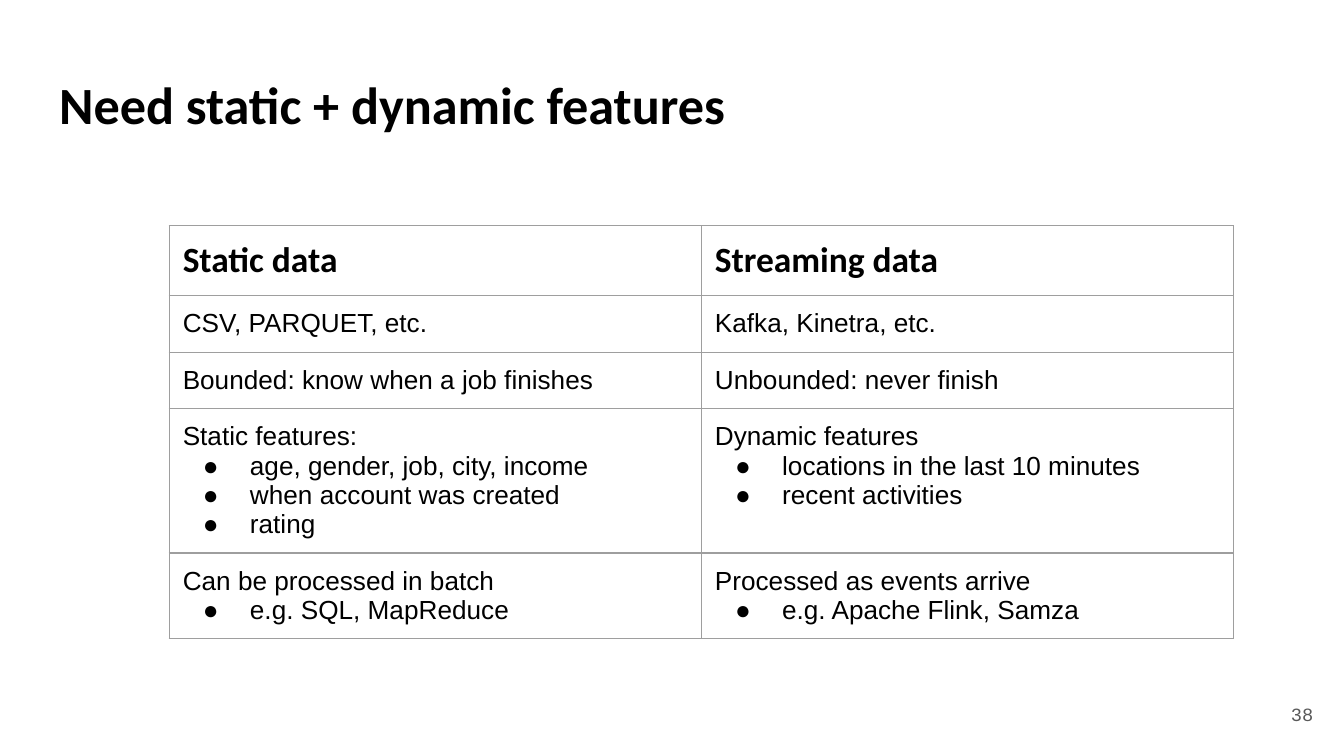
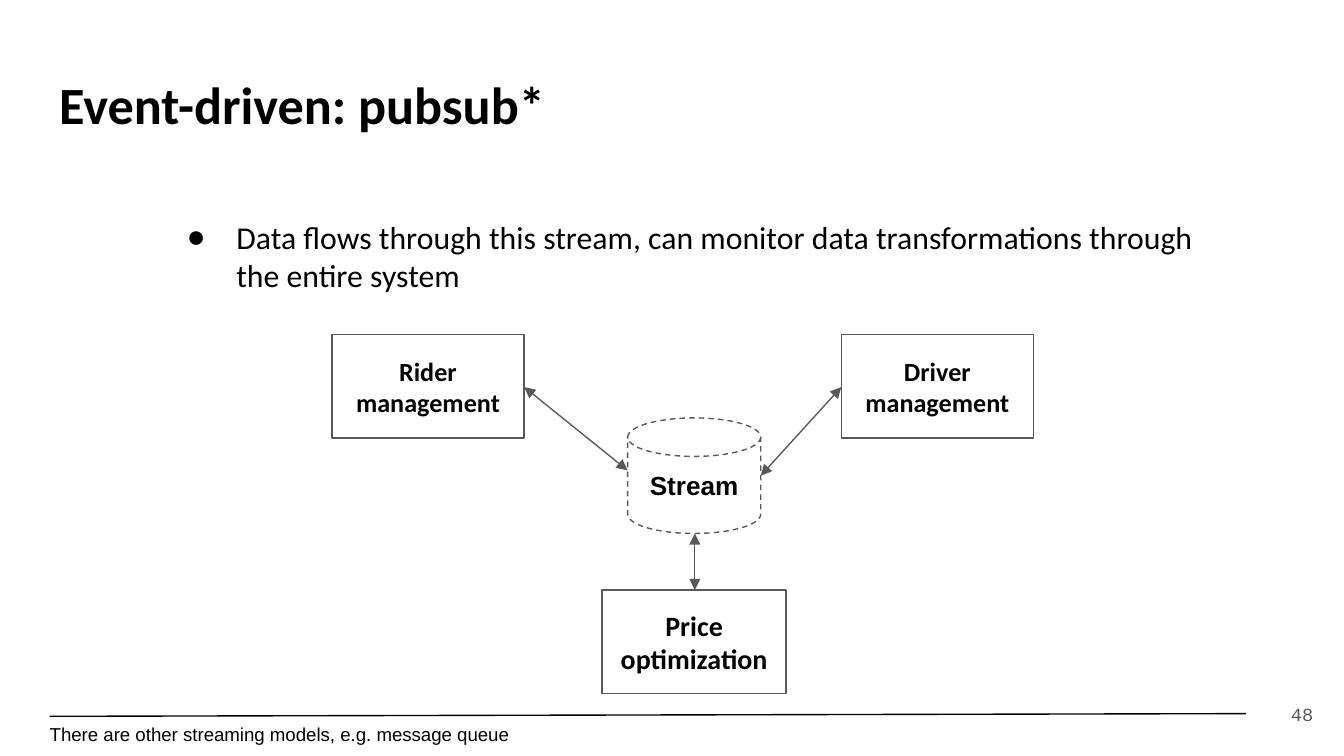
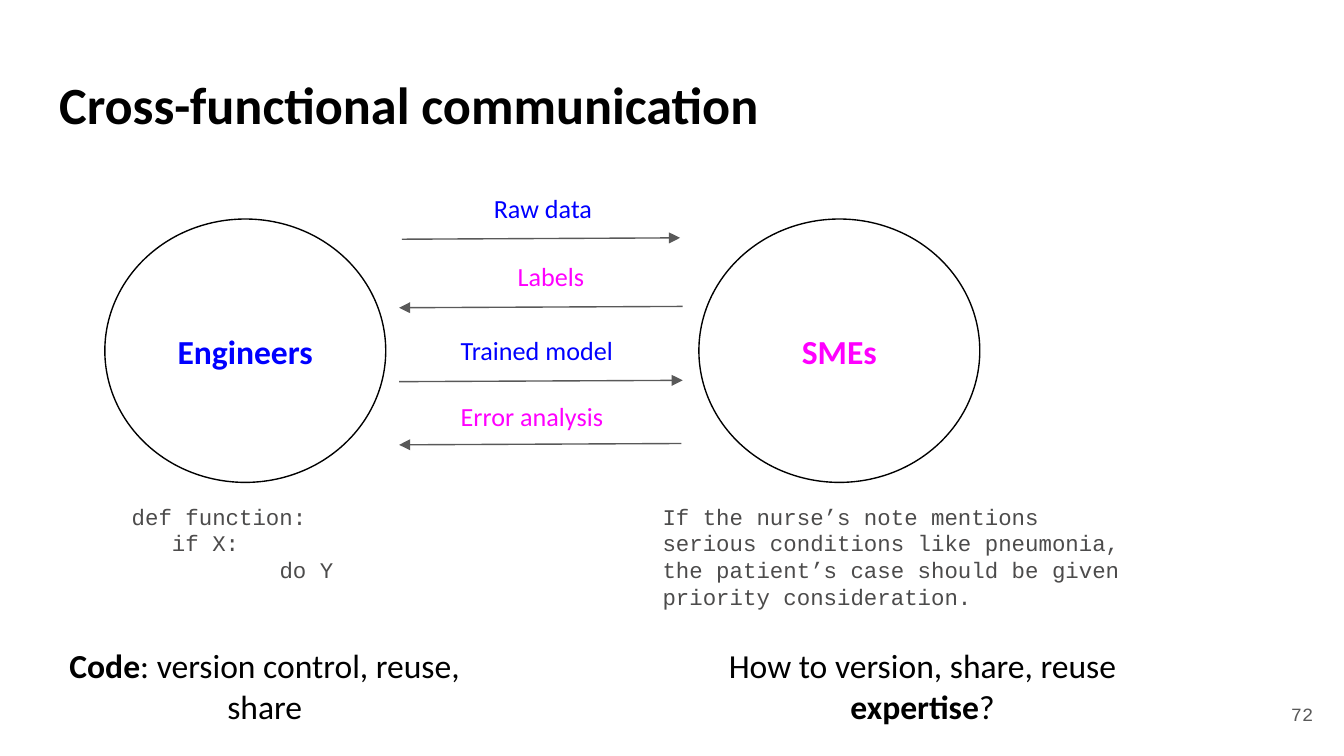
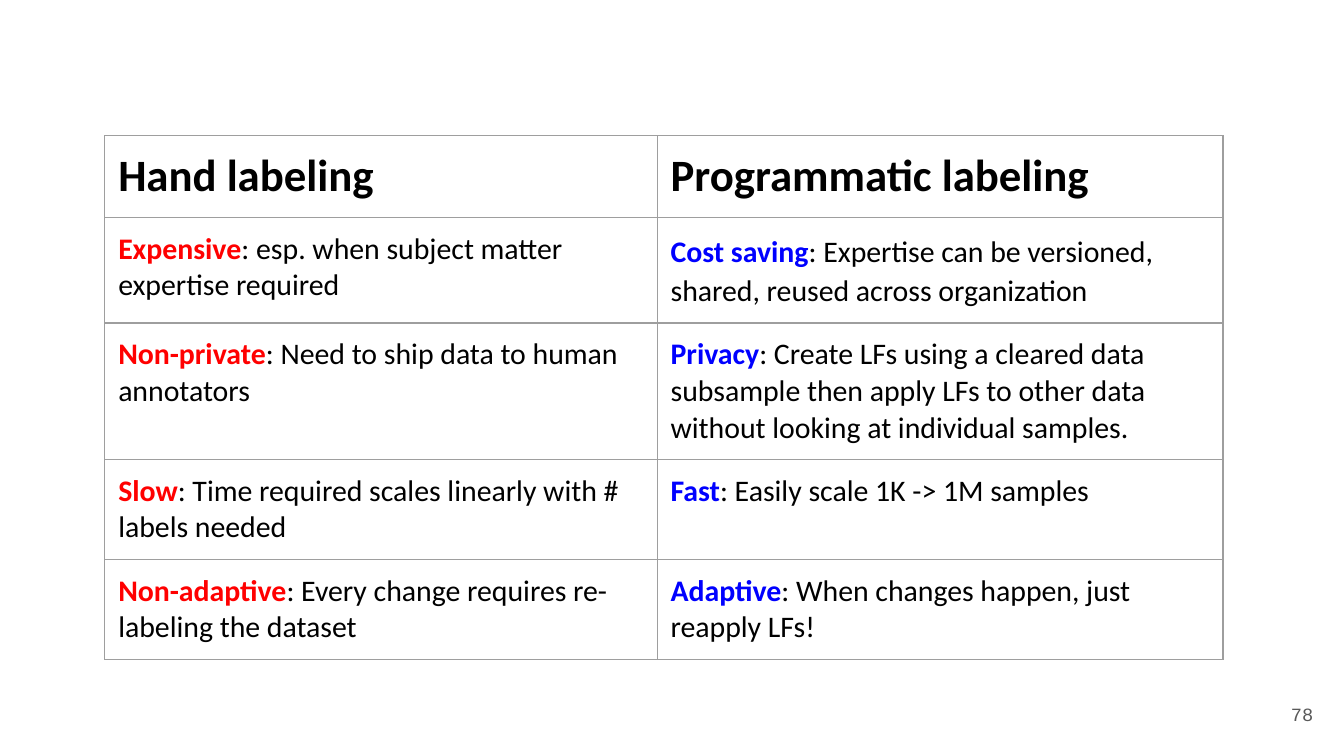
from dataclasses import dataclass
from pptx import Presentation
from pptx.dml.color import RGBColor as RGB
from pptx.enum.dml import MSO_LINE as Dash
from pptx.enum.shapes import MSO_CONNECTOR as Conn, MSO_SHAPE as Form
from pptx.enum.text import MSO_ANCHOR as Anchor, MSO_AUTO_SIZE as Fit, PP_ALIGN as Align
from pptx.oxml.ns import qn
from pptx.util import Inches, Pt
from lxml.etree import SubElement as Sub

# Grid: ten square columns across a 16:9 slide
COLS = 10
ROWS = COLS * 9 / 16
CELL = Inches(1)


@dataclass(frozen=True)
class Theme:
    black: str = "000000"
    gray: str = "595959"
    ash: str = "4C4B4B"
    rule: str = "9E9E9E"
    red: str = "FF0000"
    blue: str = "0000FF"
    pink: str = "FF00FF"
    thin: float = 0.75
    pad: tuple = (0.1, 0.1)
    slim: tuple = (0.07, 0.04)


T = Theme()

# Text styles: font, size, colour, bold
STYLE = {
    "title": ("Calibri", 28, T.black, True),
    "page": ("Courier New", 10, T.gray, False),
    "head": ("Calibri", 19, T.black, True),
    "cell": ("Arial", 14, T.black, False),
    "big": ("Calibri", 24, T.black, True),
    "bad": ("Calibri", 16, T.red, True),
    "good": ("Calibri", 16, T.blue, True),
    "plain": ("Calibri", 16, T.black, False),
    "point": ("Calibri", 17, T.black, False),
    "box": ("Calibri", 14, T.black, True),
    "price": ("Calibri", 15, T.black, True),
    "disk": ("Arial", 14, T.black, True),
    "note": ("Arial", 10, T.black, False),
    "team": ("Calibri", 18, T.blue, True),
    "expert": ("Calibri", 18, T.pink, True),
    "send": ("Calibri", 14, T.blue, False),
    "reply": ("Calibri", 14, T.pink, False),
    "code": ("Courier New", 12, T.ash, False),
    "sum": ("Calibri", 18, T.black, False),
    "key": ("Calibri", 18, T.black, True),
}

# Content: a leading bullet sign marks a list line
DATA = [
    (["Static data"], ["Streaming data"]),
    (["CSV, PARQUET, etc."], ["Kafka, Kinetra, etc."]),
    (["Bounded: know when a job finishes"], ["Unbounded: never finish"]),
    (["Static features:", "●age, gender, job, city, income",
      "●when account was created", "●rating"],
     ["Dynamic features", "●locations in the last 10 minutes", "●recent activities"]),
    (["Can be processed in batch", "●e.g. SQL, MapReduce"],
     ["Processed as events arrive", "●e.g. Apache Flink, Samza"]),
]

FLOW = ("●Data flows through this stream, can monitor data "
        "transformations through the entire system")
BOXES = [  # lines, style, left, top, width
    (["Rider", "management"], "box", 2.47, 2.49, 1.43),
    (["Driver management"], "box", 6.26, 2.49, 1.43),
    (["Price optimization"], "price", 4.48, 4.39, 1.37),
]
LINKS = [((3.9, 2.88), (4.67, 3.5)), ((6.26, 2.88), (5.66, 3.54)),
         ((5.17, 3.97), (5.17, 4.39))]
FOOT = "There are other streaming models, e.g. message queue"

TEAMS = [("Engineers", "team", 0.78), ("SMEs", "expert", 5.2)]
TALK = [  # text, style, label box, align, arrow x range, arrow y
    ("Raw data", "send", (3.49, 1.33, 1.1), Align.CENTER, (2.99, 5.06), 1.78),
    ("Labels", "reply", (3.55, 1.84, 1.1), Align.CENTER, (2.97, 5.08), 2.29),
    ("Trained model", "send", (3.33, 2.39, 1.54), Align.LEFT, (2.97, 5.08), 2.84),
    ("Error analysis", "reply", (3.33, 2.88, 1.54), Align.LEFT, (2.97, 5.07), 3.31),
]
CODE = ["def function:", "   if X:", "   \t do Y"]
RULE = ["If the nurse’s note mentions serious conditions like pneumonia, "
        "the patient’s case should be given priority consideration."]
SUMS = [
    ((0.3, 4.76, 3.34, 0.48),
     [("Code", "key"), (": version control, reuse, share", "sum")]),
    ((4.95, 4.76, 3.83, 0.75),
     [("How to version, share, reuse ", "sum"), ("expertise", "key"), ("?", "sum")]),
]

LABELS = ("Hand labeling", "Programmatic labeling")
TRADES = [
    (("Expensive", ": esp. when subject matter expertise required"),
     ("Cost saving", ": Expertise can be versioned, shared, reused across organization")),
    (("Non-private", ": Need to ship data to human annotators"),
     ("Privacy", ": Create LFs using a cleared data subsample then apply LFs to "
                 "other data without looking at individual samples.")),
    (("Slow", ": Time required scales linearly with # labels needed"),
     ("Fast", ": Easily scale 1K -> 1M samples")),
    (("Non-adaptive", ": Every change requires re-labeling the dataset"),
     ("Adaptive", ": When changes happen, just reapply LFs!")),
]


# Text helpers
def grid(*nums):
    return [round(n * CELL) for n in nums]


def plain(lines, style):
    return [[(line, style)] for line in lines]


def bullet(para, hang):
    props = para._p.get_or_add_pPr()
    props.set("marL", str(round(0.5 * CELL)))
    props.set("indent", str(round(-hang * CELL)))
    Sub(Sub(props, qn("a:buClr")), qn("a:srgbClr")).set("val", T.black)
    Sub(props, qn("a:buFont")).set("typeface", "Arial")
    Sub(props, qn("a:buChar")).set("char", "●")


def stop(para):
    tab = Sub(Sub(para._p.get_or_add_pPr(), qn("a:tabLst")), qn("a:tab"))
    tab.set("pos", str(CELL))
    tab.set("algn", "l")


def write(frame, lines, align=Align.LEFT, hang=0.35):
    for i, runs in enumerate(lines):
        para = frame.add_paragraph() if i else frame.paragraphs[0]
        para.alignment = align
        if runs[0][0].startswith("●"):
            bullet(para, hang)
        if "\t" in runs[0][0]:
            stop(para)
        for text, style in runs:
            run = para.add_run()
            run.text = text.lstrip("●")
            font = run.font
            font.name, size, color, font.bold = STYLE[style]
            font.size = Pt(size)
            font.color.rgb = RGB.from_string(color)


def setup(frame, pad, anchor, fit=Fit.NONE):
    frame.word_wrap = True
    frame.auto_size = fit
    frame.vertical_anchor = anchor
    frame.margin_left, frame.margin_top = grid(*pad)
    frame.margin_right, frame.margin_bottom = grid(*pad)


# Part helpers
def label(slide, spot, lines, pad=T.pad, anchor=Anchor.TOP, fit=Fit.NONE, **kw):
    frame = slide.shapes.add_textbox(*grid(*spot)).text_frame
    setup(frame, pad, anchor, fit)
    write(frame, lines, **kw)


def shape(slide, form, spot, lines, color, dash=None):
    part = slide.shapes.add_shape(form, *grid(*spot))
    part.shadow.inherit = False
    part.fill.background()
    part.line.color.rgb = RGB.from_string(color)
    part.line.width = Pt(T.thin)
    if dash:
        part.line.dash_style = dash
    setup(part.text_frame, T.pad, Anchor.MIDDLE)
    write(part.text_frame, lines, Align.CENTER)


def line(slide, start, end, color=T.gray, ends=()):
    part = slide.shapes.add_connector(Conn.STRAIGHT, *grid(*start, *end))
    part.line.color.rgb = RGB.from_string(color)
    part.line.width = Pt(T.thin)
    for tag in ends:
        Sub(part.line._get_or_add_ln(), qn("a:" + tag)).set("type", "triangle")
    Sub(part._element.spPr, qn("a:effectLst"))


def border(cell):
    props = cell._tc.get_or_add_tcPr()
    for i, side in enumerate("LRTB"):
        edge = Sub(props, qn("a:ln" + side))
        edge.set("w", str(Pt(T.thin)))
        Sub(Sub(edge, qn("a:solidFill")), qn("a:srgbClr")).set("val", T.rule)
        props.insert(i, edge)


def table(slide, left, top, wide, rows):
    high = 0.42
    spot = grid(left, top, sum(wide), high * len(rows))
    tab = slide.shapes.add_table(len(rows), len(wide), *spot).table
    tab.first_row = tab.horz_banding = False
    for col, width in zip(tab.columns, wide):
        col.width = round(width * CELL)
    for r, row in enumerate(rows):
        tab.rows[r].height = round(high * CELL)
        for c, lines in enumerate(row):
            cell = tab.cell(r, c)
            cell.fill.background()
            border(cell)
            cell.margin_left, cell.margin_top = grid(*T.pad)
            cell.margin_right, cell.margin_bottom = grid(*T.pad)
            write(cell.text_frame, lines)
    return tab


def page(deck, num, title=None):
    slide = deck.slides.add_slide(deck.slide_layouts[5 if title else 6])
    if title:
        head = slide.shapes.title
        head.left, head.top, head.width, head.height = grid(0.34, 0.44, COLS - 0.68, 0.63)
        setup(head.text_frame, T.pad, Anchor.TOP)
        write(head.text_frame, [[(title, "title")]])
    label(slide, (9.27, 5.1, 0.6, 0.43), [[(num, "page")]],
          anchor=Anchor.MIDDLE, align=Align.RIGHT)
    return slide


# Slides
def data(deck):
    slide = page(deck, "38", "Need static + dynamic features")
    rows = [[plain(lines, "cell" if r else "head") for lines in row]
            for r, row in enumerate(DATA)]
    table(slide, 1.26, 1.68, (3.96, 3.96), rows)


def events(deck):
    slide = page(deck, "48", "Event-driven: pubsub*")
    for lines, style, left, top, width in BOXES:
        shape(slide, Form.FLOWCHART_PROCESS, (left, top, width, 0.77),
              plain(lines, style), T.gray)
    shape(slide, Form.FLOWCHART_MAGNETIC_DISK, (4.67, 3.11, 0.99, 0.86),
          [[("Stream", "disk")]], T.gray, Dash.DASH)
    for start, end in LINKS:
        line(slide, start, end, ends=("headEnd", "tailEnd"))
    label(slide, (1.16, 1.52, 8, 1.14), [[(FLOW, "point")]], hang=0.37)
    line(slide, (0.37, 5.33), (9.27, 5.31), T.black)
    label(slide, (0.37, 5.38, 5.36, 0.25), [[(FOOT, "note")]], pad=(0, 0))


def teams(deck):
    slide = page(deck, "72", "Cross-functional communication")
    for name, style, left in TEAMS:
        shape(slide, Form.OVAL, (left, 1.63, 2.09, 1.96), [[(name, style)]], T.black)
    for text, style, spot, align, (x1, x2), y in TALK:
        tip = "tailEnd" if style == "send" else "headEnd"
        line(slide, (x1, y), (x2, y - 0.01), ends=(tip,))
        label(slide, (*spot, 0.44), [[(text, style)]], fit=Fit.SHAPE_TO_FIT_TEXT,
              align=align)
    label(slide, (4.86, 3.7, 3.66, 1.11), plain(RULE, "code"), pad=T.slim)
    label(slide, (0.91, 3.7, 2.19, 0.75), plain(CODE, "code"), pad=T.slim)
    for spot, runs in SUMS:
        label(slide, spot, [runs], pad=T.slim, align=Align.CENTER)


def trades(deck):
    slide = page(deck, "78")
    rows = [[plain([name], "big") for name in LABELS]]
    rows += [[[[(term, style), (rest, "plain")]]
              for (term, rest), style in zip(row, ("bad", "good"))] for row in TRADES]
    tab = table(slide, 0.78, 1.01, (4.11, 4.21), rows)
    tab.cell(1, 1).text_frame.paragraphs[0].line_spacing = 1.08


def main():
    deck = Presentation()
    deck.slide_width, deck.slide_height = grid(COLS, ROWS)
    for build in (data, events, teams, trades):
        build(deck)
    deck.save("out.pptx")


if __name__ == "__main__":
    main()
